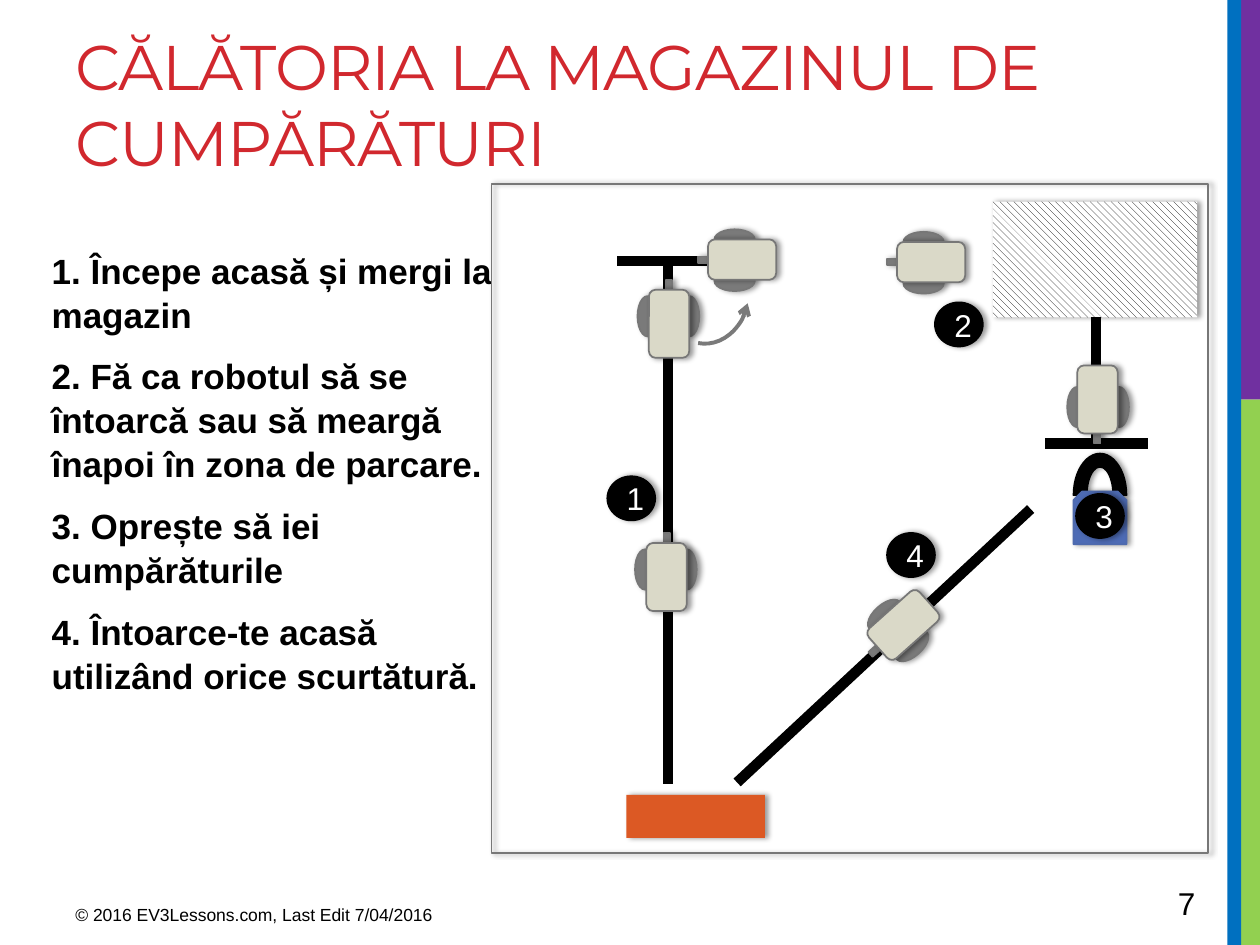
from math import cos, radians, sin

from lxml.etree import SubElement
from pptx import Presentation
from pptx.dml.color import RGBColor
from pptx.enum.dml import MSO_PATTERN
from pptx.enum.shapes import MSO_CONNECTOR, MSO_SHAPE
from pptx.enum.text import MSO_ANCHOR, PP_ALIGN
from pptx.oxml.ns import qn
from pptx.util import Inches, Pt

# Content
TITLE = "CĂLĂTORIA LA MAGAZINUL DE CUMPĂRĂTURI"
STEPS = [
    "1. Începe acasă și mergi la magazin",
    "2. Fă ca robotul să se întoarcă sau să meargă înapoi în zona de parcare.",
    "3. Oprește să iei cumpărăturile",
    "4. Întoarce-te acasă utilizând orice scurtătură.",
]
# text, size, box
FOOTERS = [
    ("© 2016 EV3Lessons.com, Last Edit 7/04/2016", 10, (0.5, 7.1, 3.75, 0.31)),
    ("7", 18, (9.25, 6.97, 0.69, 0.4)),
]
SIDE_BARS = [
    ("92D050", (9.84, 3.17, 0.16, 4.33)),
    ("7030A0", (9.8, 0, 0.2, 3.17)),
    ("0070C0", (9.74, 0, 0.11, 7.5)),
]
# from x, y, to x, y
TRACKS = [
    (5.3, 6.22, 5.3, 2.07),
    (8.7, 3.52, 8.7, 2.52),
    (5.85, 6.21, 8.18, 4.04),
    (9.11, 3.52, 8.29, 3.52),
    (5.71, 2.07, 4.9, 2.07),
]
# body centre x, y, rotation
ROBOTS = [
    (5.29, 4.58, 0),
    (7.39, 2.08, 270),
    (8.71, 3.17, 180),
    (7.17, 4.96, 228.2),
    (5.89, 2.06, 270),
    (5.31, 2.57, 0),
]
# kind, offset from body centre x, y, width, height, fill
ROBOT_PARTS = [
    (MSO_SHAPE.OVAL, -0.17, -0.06, 0.16, 0.32, "7A7A7A"),
    (MSO_SHAPE.OVAL, 0.16, -0.06, 0.16, 0.32, "7A7A7A"),
    (MSO_SHAPE.RECTANGLE, 0, -0.28, 0.05, 0.14, "7A7A7A"),
    (MSO_SHAPE.ROUNDED_RECTANGLE, 0, 0, 0.32, 0.54, "DAD9C8"),
]
BADGES = [("1", 4.82, 3.78), ("2", 7.42, 2.4), ("3", 8.54, 3.92), ("4", 7.04, 4.23)]


def color(hex_string):
    return RGBColor.from_string(hex_string)


def set_font(paragraph, name, size, hex_string, bold=False):
    font = paragraph.font
    font.name, font.size, font.bold = name, Pt(size), bold
    font.color.rgb = color(hex_string)


def place(shape, box):
    shape.left, shape.top, shape.width, shape.height = map(Inches, box)


def add_shape(shapes, kind, box, fill=None, line=None, shadow=True, rotation=0):
    shape = shapes.add_shape(kind, *map(Inches, box))
    shape.rotation = rotation
    if fill:
        shape.fill.solid()
        shape.fill.fore_color.rgb = color(fill)
    else:
        shape.fill.background()
    if line:
        shape.line.color.rgb = color(line)
        shape.line.width = Pt(1)
    else:
        shape.line.fill.background()
    shape.shadow.inherit = False
    if shadow:
        effects = shape._element.spPr.find(qn("a:effectLst"))
        outer = SubElement(effects, qn("a:outerShdw"), blurRad=str(Pt(3.1)),
                           dist=str(Pt(1.8)), dir="0", rotWithShape="0")
        black = SubElement(outer, qn("a:srgbClr"), val="000000")
        SubElement(black, qn("a:alpha"), val="40000")
    return shape


def add_track(shapes, ends):
    track = shapes.add_connector(MSO_CONNECTOR.STRAIGHT, *map(Inches, ends))
    track.line.color.rgb = color("000000")
    track.line.width = Pt(6)
    SubElement(track._element.spPr, qn("a:effectLst"))


def add_robot(shapes, center_x, center_y, rotation):
    group = shapes.add_group_shape()
    cosine, sine = cos(radians(rotation)), sin(radians(rotation))
    for kind, x, y, width, height, fill in ROBOT_PARTS:
        left = center_x + x * cosine - y * sine - width / 2
        top = center_y + x * sine + y * cosine - height / 2
        add_shape(group.shapes, kind, (left, top, width, height), fill, "777777",
                  rotation=rotation)


def add_badge(shapes, number, left, top):
    badge = add_shape(shapes, MSO_SHAPE.OVAL, (left, top, 0.38, 0.35), "000000", "000000")
    frame = badge.text_frame
    frame.text = number
    frame.vertical_anchor = MSO_ANCHOR.MIDDLE
    frame.paragraphs[0].alignment = PP_ALIGN.CENTER
    set_font(frame.paragraphs[0], "Arial", 18, "FFFFFF")


def add_title(title):
    place(title, (0.5, 0.17, 9.02, 1.5))
    title.text_frame.text = TITLE
    title.text_frame.vertical_anchor = MSO_ANCHOR.TOP
    paragraph = title.text_frame.paragraphs[0]
    paragraph.alignment = PP_ALIGN.LEFT
    set_font(paragraph, "Montserrat", 36, "D1282E")
    paragraph.runs[0].font._element.set("spc", "-60")


def add_steps(body):
    place(body, (0.31, 1.91, 3.78, 4.37))
    body.text_frame.text = "\n".join(STEPS)
    for index, paragraph in enumerate(body.text_frame.paragraphs):
        properties = paragraph._element.get_or_add_pPr()
        properties.set("marL", "0")
        properties.set("indent", "0")
        SubElement(properties, qn("a:buNone"))
        paragraph.line_spacing = 1.05
        paragraph.space_before = Pt(4 if index else 0)
        paragraph.space_after = Pt(6)
        set_font(paragraph, "Arial", 20, "000000", bold=True)


def add_footer(shapes, text, size, box):
    frame = shapes.add_textbox(*map(Inches, box)).text_frame
    frame.word_wrap = True
    frame.vertical_anchor = MSO_ANCHOR.MIDDLE
    frame.text = text
    set_font(frame.paragraphs[0], "Arial", size, "000000")


def main():
    presentation = Presentation()
    presentation.slide_width, presentation.slide_height = Inches(10), Inches(7.5)
    slide = presentation.slides.add_slide(presentation.slide_layouts[1])
    shapes = slide.shapes

    # Text and side bars
    add_title(shapes.title)
    add_steps(slide.placeholders[1])
    for fill, box in SIDE_BARS:
        add_shape(shapes, MSO_SHAPE.RECTANGLE, box, fill, shadow=False)
    for footer in FOOTERS:
        add_footer(shapes, *footer)

    # Map frame, parking area and home
    add_shape(shapes, MSO_SHAPE.RECTANGLE, (3.9, 1.46, 5.69, 5.31), line="777777")
    parking = add_shape(shapes, MSO_SHAPE.RECTANGLE, (8.23, 1.25, 0.92, 1.62),
                        "FFFFFF", rotation=90)
    parking.fill.patterned()
    parking.fill.pattern = MSO_PATTERN.WIDE_DOWNWARD_DIAGONAL
    parking.fill.fore_color.rgb = color("000000")
    parking.fill.back_color.rgb = color("FFFFFF")
    add_shape(shapes, MSO_SHAPE.RECTANGLE, (5.35, 5.93, 0.34, 1.1), "DC5924", rotation=90)

    # Shopping bag
    bag = shapes.add_group_shape().shapes
    add_shape(bag, MSO_SHAPE.BLOCK_ARC, (8.52, 3.6, 0.42, 0.66), "000000", "000000")
    add_shape(bag, MSO_SHAPE.SNIP_2_SAME_RECTANGLE, (8.52, 3.9, 0.42, 0.42),
              "4D6BB5", "4E6AAE")

    # Tracks, robots and step badges
    for ends in TRACKS:
        add_track(shapes, ends)
    for robot in ROBOTS:
        add_robot(shapes, *robot)
    for badge in BADGES:
        add_badge(shapes, *badge)

    # Turning arrow
    turn = add_shape(shapes, MSO_SHAPE.ARC, (5.23, 2.02, 0.77, 0.65), line="7A7A7A",
                     shadow=False, rotation=101.1)
    turn.line.width = Pt(2.25)
    SubElement(turn.line._get_or_add_ln(), qn("a:headEnd"), type="arrow")

    presentation.save("out.pptx")


if __name__ == "__main__":
    main()
